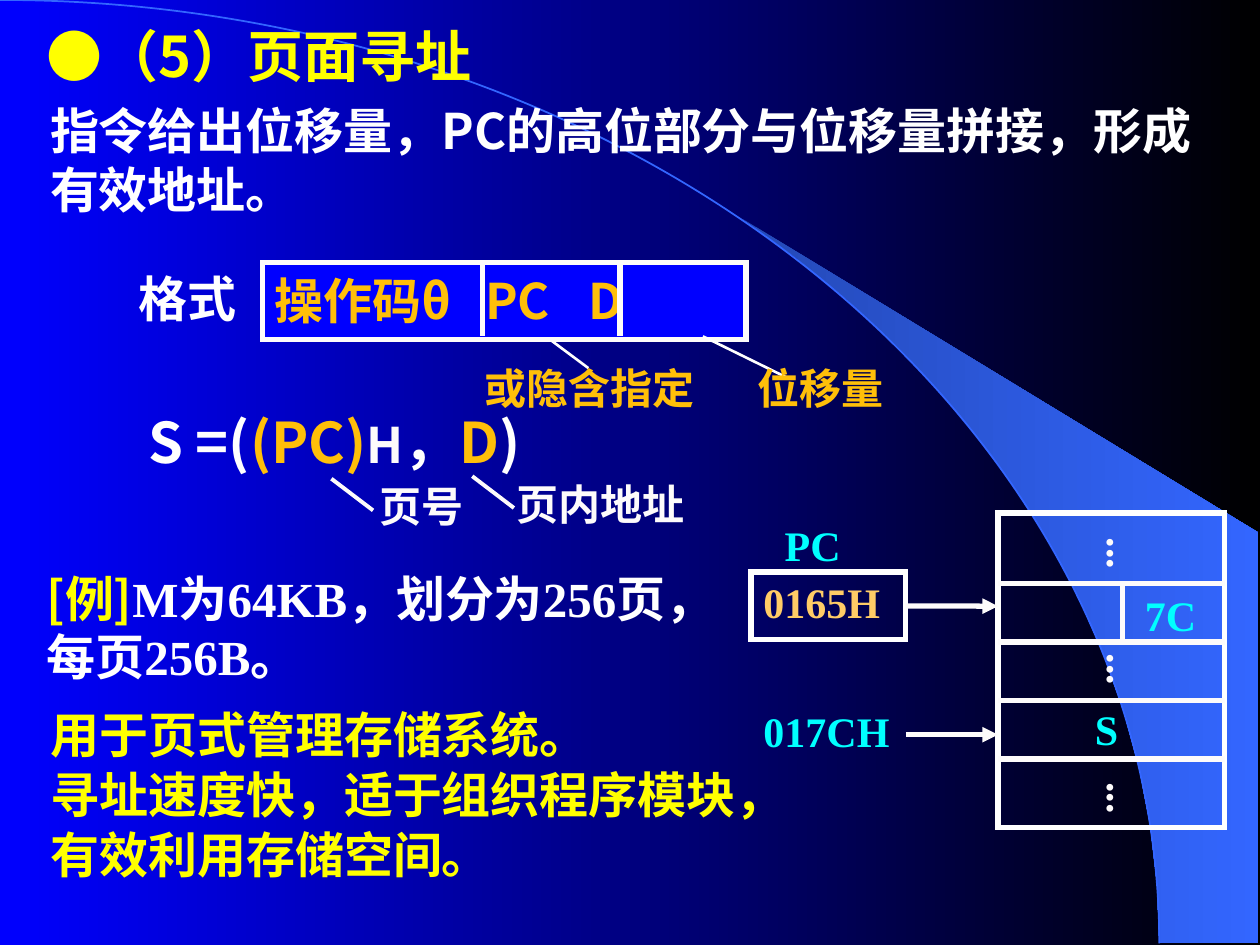
from dataclasses import dataclass
from math import asin, cos, pi, sin
from typing import Optional

from lxml.etree import SubElement
from pptx import Presentation
from pptx.dml.color import RGBColor
from pptx.enum.shapes import MSO_CONNECTOR as Link, MSO_SHAPE as Kind
from pptx.enum.text import MSO_ANCHOR as Anchor, PP_ALIGN as Align
from pptx.oxml.ns import qn
from pptx.util import Cm, Pt

WHITE = RGBColor(0xFF, 0xFF, 0xFF)
PALE = RGBColor(0xFD, 0xFB, 0xFB)
BLUE = RGBColor(0x00, 0x00, 0xFF)
BLACK = RGBColor(0x00, 0x00, 0x00)
DEEP = RGBColor(0x24, 0x49, 0xB6)
SKY = RGBColor(0x33, 0x66, 0xFF)
YELLOW = RGBColor(0xFF, 0xFF, 0x00)
GOLD = RGBColor(0xFF, 0xBF, 0x09)
SAND = RGBColor(0xFF, 0xCC, 0x66)
CYAN = RGBColor(0x00, 0xFF, 0xFF)
SANS = "Noto Sans CJK SC"
SERIF = "Times New Roman"


@dataclass
class Box:
    left: float
    top: float
    width: float
    height: float

    def size(self) -> tuple:
        return Cm(self.left), Cm(self.top), Cm(self.width), Cm(self.height)


@dataclass
class Run:
    text: str
    color: Optional[RGBColor] = None
    font: Optional[str] = None
    size: Optional[float] = None


@dataclass
class Line:
    x1: float
    y1: float
    x2: float
    y2: float
    color: RGBColor = PALE
    weight: float = 3
    arrow: bool = False


def blend(fill, first: RGBColor, last: RGBColor) -> None:
    fill.gradient()
    fill.gradient_angle = 0
    for stop, color in zip(fill.gradient_stops, (first, last)):
        stop.color.rgb = color


def write(frame, *paras, size=24, color=PALE, font=SERIF, lead=None, gap=0, tabs=()) -> None:
    frame.word_wrap = True
    for i, runs in enumerate(paras):
        para = frame.paragraphs[0] if i == 0 else frame.add_paragraph()
        para.alignment = Align.LEFT
        if lead:
            para.line_spacing = Pt(round(size * lead, 1))
        if i:
            para.space_before = Pt(gap)
        if tabs:
            stops = SubElement(para._p.get_or_add_pPr(), qn("a:tabLst"))
            for pos in tabs:
                SubElement(stops, qn("a:tab"), pos=str(Cm(pos)), algn="l")
        for part in [Run(runs)] if isinstance(runs, str) else runs:
            run = para.add_run()
            run.text = part.text
            run.font.size = Pt(part.size or size)
            run.font.bold = True
            run.font.color.rgb = part.color or color
            run.font.name = part.font or font
            SubElement(run._r.get_or_add_rPr(), qn("a:ea"), typeface=SANS)


def label(slide, box: Box, *paras, turn: bool = False, **style) -> None:
    frame = slide.shapes.add_textbox(*box.size()).text_frame
    write(frame, *paras, **style)
    if turn:
        frame._txBody.bodyPr.set("vert", "eaVert")


def frame_box(slide, box: Box, color: RGBColor, fill: Optional[RGBColor] = None):
    shape = slide.shapes.add_shape(Kind.RECTANGLE, *box.size())
    shape.shadow.inherit = False
    if fill is None:
        shape.fill.background()
    else:
        shape.fill.solid()
        shape.fill.fore_color.rgb = fill
    shape.line.color.rgb = color
    shape.line.width = Pt(3)
    SubElement(shape.line._get_or_add_ln(), qn("a:miter"), lim="800000")
    shape.text_frame.vertical_anchor = Anchor.MIDDLE
    return shape


def draw(slide, line: Line):
    ends = [Cm(v) for v in (line.x1, line.y1, line.x2, line.y2)]
    link = slide.shapes.add_connector(Link.STRAIGHT, *ends)
    link.line.color.rgb = line.color
    link.line.width = Pt(line.weight)
    if line.arrow:
        SubElement(link.line._get_or_add_ln(), qn("a:tailEnd"), type="triangle")
    SubElement(link._element.spPr, qn("a:effectLst"))
    return link


def outline(slide, points: list, close: bool):
    spots = [(Cm(x), Cm(y)) for x, y in points]
    pen = slide.shapes.build_freeform(*spots[0])
    pen.add_line_segments(spots[1:], close=close)
    shape = pen.convert_to_shape()
    shape.shadow.inherit = False
    return shape


def bend(shape) -> None:
    steps = list(shape._element.iter(qn("a:lnTo")))
    cubic = SubElement(steps[0].getparent(), qn("a:cubicBezTo"))
    for step in steps:
        cubic.append(step[0])
        step.getparent().remove(step)


def scene(slide) -> None:
    blend(slide.background.fill, BLUE, BLACK)
    wide, high, count = 23.37, 19.02, 14
    start = asin(0.64)
    turns = [start + (pi / 2 - start) * i / count for i in range(count + 1)]
    rim = [(wide * sin(a), high * (1 - cos(a))) for a in turns]
    beam = outline(slide, rim + [(25.37, high), (25.37, 10.74)], True)
    blend(beam.fill, DEEP, SKY)
    beam.line.fill.background()
    pull = 0.55
    arc = outline(slide, [(0, 0), (wide * pull, 0), (wide, high * (1 - pull)), (wide, high)], False)
    bend(arc)
    arc.fill.background()
    arc.line.color.rgb = SKY
    arc.line.width = Pt(1)


def prose(slide) -> None:
    label(slide, Box(0.69, 0.3, 9.73, 1.63), [Run("●（5）", font=SANS), Run("页面寻址")],
          size=32, color=YELLOW, lead=1.2)
    label(slide, Box(0.76, 1.9, 24.18, 2.62),
          [Run("指令给出位移量，"), Run("PC的高位部分", font=SANS),
           Run("与位移量拼接，形成有效地址。")], size=28, color=WHITE, lead=1.2)
    label(slide, Box(0.69, 11.33, 14.2, 2.62),
          [Run("[例]", YELLOW, SANS), Run("M为64KB，划分为256页，每页256B。")],
          size=28, color=WHITE, lead=1.2)
    label(slide, Box(0.77, 14.53, 16.33, 3.58), "用于页式管理存储系统。",
          "寻址速度快，适于组织程序模块，", "有效利用存储空间。",
          size=28, color=YELLOW, lead=0.75, gap=13.2)


def layout(slide) -> None:
    label(slide, Box(2.54, 5.28, 2.97, 1.45), "格式", size=28, color=WHITE, lead=1.2)
    draw(slide, Line(11, 6.78, 11.86, 7.42, WHITE, 1.5))
    code = frame_box(slide, Box(5.29, 5.29, 9.75, 1.55), PALE, BLUE)
    write(code.text_frame, [Run("操作码"), Run("θ\tPC\tD", font=SANS)],
          size=28, color=GOLD, lead=1.15, tabs=(4.24, 6.33))
    for x in (9.73, 12.5):
        draw(slide, Line(x, 5.28, x, 6.78))
    draw(slide, Line(14.17, 6.78, 15.88, 7.62, WHITE, 1.5))
    for text, x, width in (("或隐含指定", 9.52, 5.92), ("位移量", 15.03, 4.01)):
        label(slide, Box(x, 7.19, width, 1.27), text, color=GOLD, font=SANS, lead=1.2)


def formula(slide) -> None:
    label(slide, Box(2.74, 8.46, 10.59, 1.19),
          [Run("S =("), Run("(PC)", GOLD), Run("H", PALE, size=28), Run("，"),
           Run("D", GOLD), Run(")")], size=32, color=WHITE, font=SANS, lead=0.88)
    draw(slide, Line(6.68, 9.65, 7.52, 10.29, weight=2.25))
    draw(slide, Line(9.52, 9.6, 10.36, 10.24, weight=2.25))
    label(slide, Box(7.41, 9.56, 3.61, 1.27), "页号", lead=1.2)
    label(slide, Box(10.16, 9.52, 4.88, 1.27), "页内地址", lead=1.2)


def memory(slide) -> None:
    left, right, top, step = 20.12, 24.69, 11.76, 1.18
    label(slide, Box(15.57, 10.34, 2.08, 1.27), "PC", color=CYAN)
    count = frame_box(slide, Box(15.14, 11.53, 3.12, 1.37), WHITE)
    write(count.text_frame, "0165H", color=SAND, lead=1)
    label(slide, Box(15.14, 14.1, 3.12, 1.27), "017CH", color=CYAN)
    frame_box(slide, Box(left, 10.34, right - left, 6.35), WHITE)
    for i in range(4):
        draw(slide, Line(left, top + i * step, right, top + i * step))
    draw(slide, Line(22.63, top, 22.63, top + step))
    label(slide, Box(22.83, top, 2.08, 1.27), "7C", color=CYAN)
    label(slide, Box(21.82, 14.05, 1.45, 1.27), "S", color=CYAN)
    for y in (10.59, 12.93, 15.52):
        label(slide, Box(21.77, y, 1.52, 1.4), "...", turn=True)
    fetch = draw(slide, Line(18.26, 12.22, left, 12.22, arrow=True))
    fetch.begin_connect(count, 3)
    draw(slide, Line(18.26, 14.81, left, 14.81, arrow=True))


def main() -> None:
    deck = Presentation()
    deck.slide_width, deck.slide_height = Cm(25.4), Cm(19.05)
    slide = deck.slides.add_slide(deck.slide_layouts[6])
    for part in (scene, prose, layout, formula, memory):
        part(slide)
    deck.save("out.pptx")


if __name__ == "__main__":
    main()
